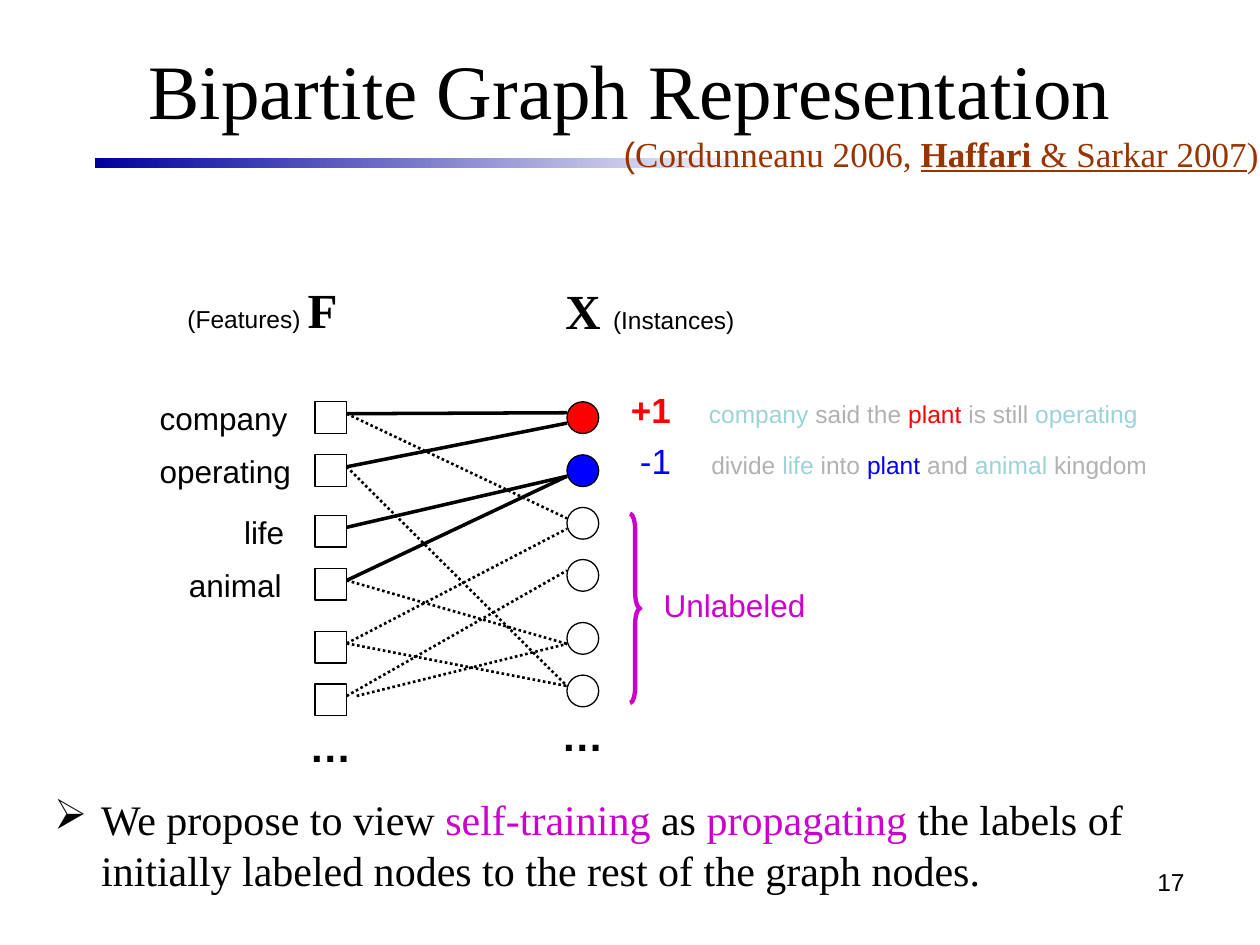
from lxml.etree import SubElement
from pptx import Presentation
from pptx.dml.color import RGBColor
from pptx.enum.dml import MSO_LINE
from pptx.enum.shapes import MSO_CONNECTOR, MSO_SHAPE
from pptx.enum.text import MSO_ANCHOR, PP_ALIGN
from pptx.oxml.ns import qn
from pptx.util import Cm, Pt

BLACK = RGBColor(0x00, 0x00, 0x00)
WHITE = RGBColor(0xFF, 0xFF, 0xFF)
RED = RGBColor(0xFF, 0x00, 0x00)
BLUE = RGBColor(0x00, 0x00, 0xFF)
NAVY = RGBColor(0x00, 0x00, 0x9C)
MAGENTA = RGBColor(0xCC, 0x00, 0xCC)
BROWN = RGBColor(0x99, 0x33, 0x00)
TEAL = RGBColor(0x9D, 0xD3, 0xD7)
GRAY = RGBColor(0xB2, 0xB2, 0xB2)

# Graph layout in centimetres
NODE_SIZE = 0.64
FEATURE_LEFT, INSTANCE_LEFT = 6.35, 11.43
FEATURE_TOPS = [8.1, 9.17, 10.39, 11.46, 12.73, 13.79]
INSTANCE_TOPS = [8.1, 9.17, 10.23, 11.28, 12.55, 13.61]
FEATURE_PORT, UPPER, LOWER = 0.24, 0.22, 0.43

# Edges: feature row, instance row, port on the instance, gap after the feature
SOLID_EDGES = [(0, 0, UPPER, 0), (1, 0, LOWER, 0), (2, 1, LOWER, 0), (3, 1, LOWER, 0)]
DOTTED_EDGES = [(0, 2, UPPER, 0), (5, 3, UPPER, 0), (3, 4, LOWER, 0), (4, 2, LOWER, 0),
                (1, 5, UPPER, 0), (5, 4, LOWER, 0.2), (4, 5, UPPER, 0)]


class SlideBuilder:
    sans = "Arial"
    serif = "Times New Roman"

    def __init__(self, slide):
        self.slide = slide

    @staticmethod
    def style(font, size=None, name=None, color=None, bold=None, underline=None):
        if size:
            font.size = Pt(size)
        if name:
            font.name = name
        if color is not None:
            font.color.rgb = color
        if bold is not None:
            font.bold = bold
        if underline is not None:
            font.underline = underline

    def title(self, text, left, top, width, height):
        title = self.slide.shapes.title
        title.left, title.top, title.width, title.height = map(Cm, (left, top, width, height))
        title.text_frame.text = text
        title.text_frame.vertical_anchor = MSO_ANCHOR.MIDDLE
        paragraph = title.text_frame.paragraphs[0]
        paragraph.alignment = PP_ALIGN.CENTER
        self.style(paragraph.font, 44, self.serif, BLACK)

    def text(self, left, top, width, height, runs, size, name=None, color=BLACK, bold=None,
             align=PP_ALIGN.LEFT, margin_right=0, tab=None, bullet=None, indent=0):
        """Each run is a pair of its text and the font settings that differ."""
        shape = self.slide.shapes.add_textbox(Cm(left), Cm(top), Cm(width), Cm(height))
        frame = shape.text_frame
        frame.word_wrap = True
        frame.margin_right = Cm(margin_right)
        paragraph = frame.paragraphs[0]
        paragraph.alignment = align
        properties = paragraph._p.get_or_add_pPr()
        if bullet:
            properties.set("marL", str(Cm(indent)))
            properties.set("indent", str(-Cm(indent)))
            SubElement(properties, qn("a:buChar"), char=bullet)
        if tab:
            tabs = SubElement(properties, qn("a:tabLst"))
            SubElement(tabs, qn("a:tab"), pos=str(Cm(tab)), algn="l")
        self.style(paragraph.font, size, name or self.sans, color, bold)
        for content, changes in runs:
            run = paragraph.add_run()
            run.text = content
            self.style(run.font, **changes)

    def shape(self, kind, left, top, width, height, fill=None, line=BLACK, weight=0.75):
        shape = self.slide.shapes.add_shape(kind, Cm(left), Cm(top), Cm(width), Cm(height))
        shape.shadow.inherit = False
        if fill is None:
            shape.fill.background()
        else:
            shape.fill.solid()
            shape.fill.fore_color.rgb = fill
        if line is None:
            shape.line.fill.background()
        else:
            shape.line.color.rgb = line
            shape.line.width = Pt(weight)
        return shape

    def gradient_bar(self, left, top, width, height, start, end):
        bar = self.shape(MSO_SHAPE.RECTANGLE, left, top, width, height, line=None)
        bar.fill.gradient()
        bar.fill.gradient_angle = 0
        for stop, color in zip(bar.fill.gradient_stops, (start, end)):
            stop.color.rgb = color

    def brace(self, left, top, width, height, color):
        brace = self.shape(MSO_SHAPE.RIGHT_BRACE, left, top, width, height,
                           line=color, weight=2.5)
        brace.adjustments[0] = 1.5

    def edge(self, feature, instance, port, gap, weight, dash=None):
        line = self.slide.shapes.add_connector(
            MSO_CONNECTOR.STRAIGHT,
            Cm(FEATURE_LEFT + NODE_SIZE + gap), Cm(FEATURE_TOPS[feature] + FEATURE_PORT),
            Cm(INSTANCE_LEFT), Cm(INSTANCE_TOPS[instance] + port))
        line.line.color.rgb = BLACK
        line.line.width = Pt(weight)
        if dash:
            line.line.dash_style = dash
        SubElement(line._element.spPr, qn("a:effectLst"))


def main():
    presentation = Presentation()
    presentation.slide_width, presentation.slide_height = Cm(25.4), Cm(19.05)
    slide = presentation.slides.add_slide(presentation.slide_layouts[5])
    builder = SlideBuilder(slide)
    serif = builder.serif

    # Page number and title
    builder.text(18.21, 17.35, 5.92, 1.32, [("17", {})], 14,
                 align=PP_ALIGN.RIGHT, margin_right=0.25)
    builder.title("Bipartite Graph Representation", 1.27, 0.2, 22.86, 3.18)

    # Edges
    for edge in SOLID_EDGES:
        builder.edge(*edge, weight=2)
    for edge in DOTTED_EDGES:
        builder.edge(*edge, weight=1.5, dash=MSO_LINE.ROUND_DOT)

    # Labeled sentences
    teal, gray = {"size": 14, "color": TEAL}, {"size": 14, "color": GRAY}
    red, blue = {"size": 14, "color": RED}, {"size": 14, "color": BLUE}
    builder.text(12.47, 7.7, 10.75, 1.12, [
        ("+1", {"bold": True}), ("\t", {}), ("company ", teal), ("said the ", gray),
        ("plant ", red), ("is still ", gray), ("operating", teal)], 20, color=RED, tab=1.57)
    builder.text(12.65, 8.74, 10.8, 1.12, [
        ("-1\t", {}), ("divide ", gray), ("life ", teal), ("into ", gray), ("plant ", blue),
        ("and ", gray), ("animal ", teal), ("kingdom", gray)], 20, color=BLUE, tab=1.44)

    # Feature nodes and their words
    for top in FEATURE_TOPS:
        builder.shape(MSO_SHAPE.RECTANGLE, FEATURE_LEFT, top, NODE_SIZE, NODE_SIZE)
    words = [("company", 2.97, 3.07), ("operating", 2.97, 3.15),
             ("life", 4.67, 1.32), ("animal", 3.56, 2.36)]
    for (word, left, width), top in zip(words, FEATURE_TOPS):
        builder.text(left, top - 0.18, width, 1.02, [(word, {})], 18)

    # Instance nodes
    for top, fill in zip(INSTANCE_TOPS, [RED, BLUE] + [None] * 4):
        builder.shape(MSO_SHAPE.OVAL, INSTANCE_LEFT, top, NODE_SIZE, NODE_SIZE, fill)

    # Column headings and continuation dots
    heading = {"size": 28, "name": serif, "bold": True}
    builder.text(3.53, 5.51, 3.53, 1.45, [("(Features) ", {}), ("F", heading)], 14)
    builder.text(11.15, 5.54, 3.91, 1.45, [("X ", heading), ("(Instances)", {})], 14)
    for left, top in [(5.99, 14.4), (11.07, 14.17)]:
        builder.text(left, top, 1.35, 1.27, [("…", {})], 24, bold=True)

    # Unlabeled group
    builder.brace(12.7, 10.36, 0.21, 3.81, MAGENTA)
    builder.text(13.13, 11.68, 3.35, 1.02, [("Unlabeled", {})], 18, color=MAGENTA)

    # Title rule and citation
    builder.gradient_bar(1.91, 3.18, 13.54, 0.21, NAVY, WHITE)
    builder.text(12.32, 2.54, 13.31, 1.12, [
        ("(", {"name": builder.sans}), ("Cordunneanu 2006, ", {}),
        ("Haffari", {"bold": True, "underline": True}),
        (" & Sarkar 2007", {"underline": True}), (")", {})], 20, serif, BROWN)

    # Proposal
    accent = {"color": MAGENTA}
    builder.text(0.84, 15.88, 22.86, 2.34, [
        ("We propose to view ", {}), ("self-training", accent), (" as ", {}),
        ("propagating", accent),
        (" the labels of initially labeled nodes to the rest of the graph nodes.", {})],
        24, serif, margin_right=0.25, bullet="➢", indent=0.95)

    presentation.save("out.pptx")


if __name__ == "__main__":
    main()
